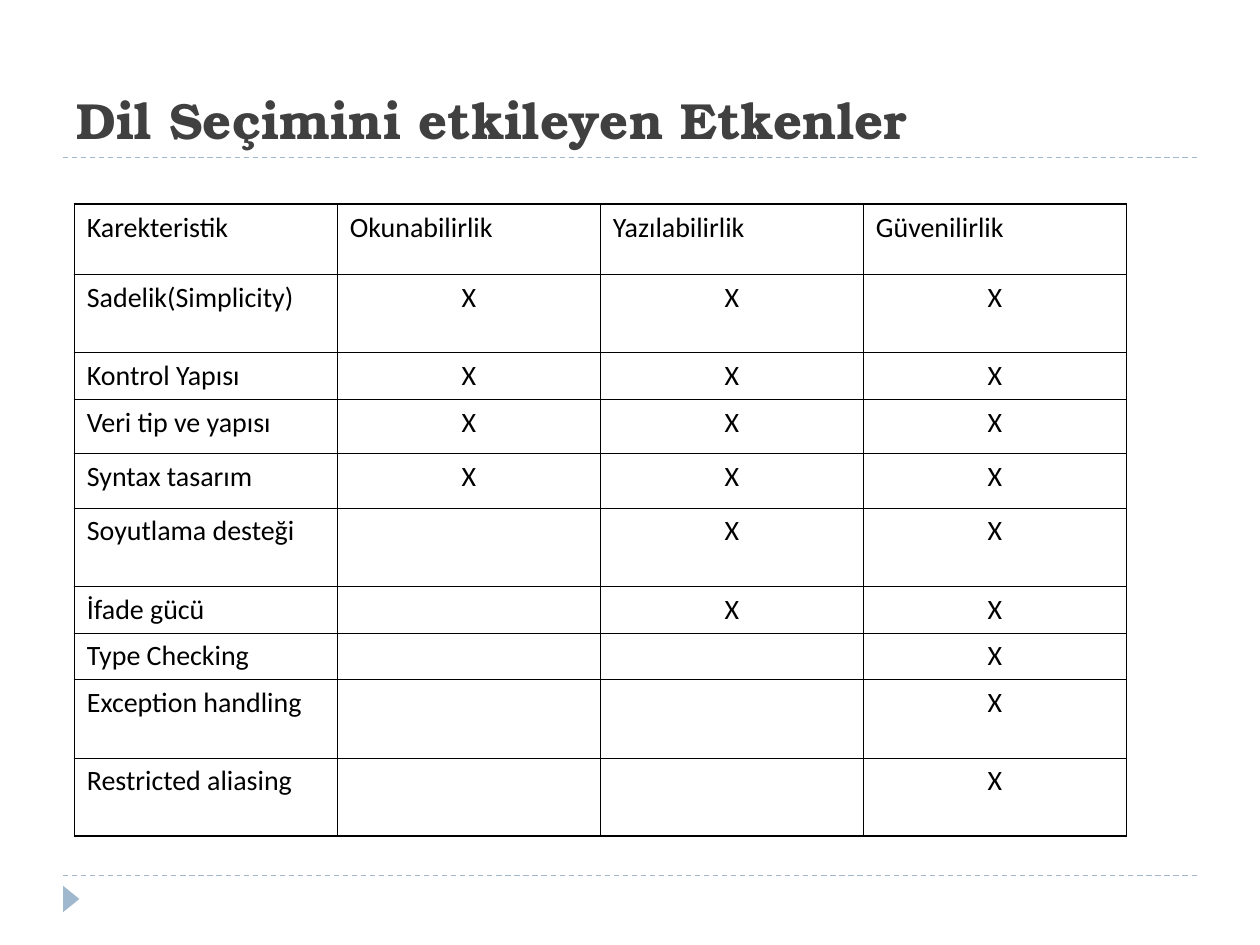
from pptx import Presentation
from pptx.dml.color import RGBColor
from pptx.enum.dml import MSO_LINE
from pptx.enum.shapes import MSO_CONNECTOR, MSO_SHAPE
from pptx.enum.text import MSO_ANCHOR, MSO_AUTO_SIZE, PP_ALIGN
from pptx.oxml.ns import qn
from pptx.util import Inches, Pt
from lxml import etree

DASH = MSO_LINE.DASH
STRAIGHT = MSO_CONNECTOR.STRAIGHT
TRIANGLE = MSO_SHAPE.ISOSCELES_TRIANGLE
BOTTOM = MSO_ANCHOR.BOTTOM
NO_FIT = MSO_AUTO_SIZE.NONE
LEFT, CENTER = PP_ALIGN.LEFT, PP_ALIGN.CENTER

# Content: characteristic, number of empty criteria before the marks, row height
TITLE = "Dil Seçimini etkileyen Etkenler"
HEADER = ["Karekteristik", "Okunabilirlik", "Yazılabilirlik", "Güvenilirlik"]
HEADER_HEIGHT = 0.56
CRITERIA = len(HEADER) - 1
CHARACTERISTICS = [
    ("Sadelik(Simplicity)", 0, 0.62),
    ("Kontrol Yapısı", 0, 0.36),
    ("Veri tip ve yapısı", 0, 0.43),
    ("Syntax tasarım", 0, 0.43),
    ("Soyutlama desteği", 1, 0.62),
    ("İfade gücü", 1, 0.36),
    ("Type Checking", 2, 0.36),
    ("Exception handling", 2, 0.62),
    ("Restricted aliasing", 2, 0.62),
]
THEME = {
    "title_font": "TeX Gyre Bonum", "title_size": Pt(29),
    "title_color": RGBColor.from_string("404040"),
    "body_font": "Calibri", "body_size": Pt(16),
    "body_color": RGBColor.from_string("000000"),
    "accent": RGBColor.from_string("9FB8CD"),
    "outer": Pt(1.08), "inner": Pt(0.45),
}


def set_font(font, role):
    font.name = THEME[role + "_font"]
    font.size = THEME[role + "_size"]
    font.color.rgb = THEME[role + "_color"]


def add_rule(slide, y):
    line = slide.shapes.add_connector(
        STRAIGHT, Inches(0.5), Inches(y), Inches(9.5), Inches(y))
    line.line.color.rgb = THEME["accent"]
    line.line.width = Pt(0.75)
    line.line.dash_style = DASH
    etree.SubElement(line._element.spPr, qn("a:effectLst"))


def set_borders(cell, outer_sides):
    tcPr = cell._tc.get_or_add_tcPr()
    for i, side in enumerate("LRTB"):
        width = THEME["outer" if side in outer_sides else "inner"]
        ln = etree.Element(qn("a:ln" + side), w=str(int(width)))
        fill = etree.SubElement(ln, qn("a:solidFill"))
        etree.SubElement(fill, qn("a:srgbClr"), val=str(THEME["body_color"]))
        tcPr.insert(i, ln)


def fill_cell(cell, text, align):
    cell.fill.background()
    p = cell.text_frame.paragraphs[0]
    p.alignment = align
    if text:
        p.text = text
        set_font(p.font, "body")
    else:
        # Keeps an empty cell from growing its row
        etree.SubElement(p._p, qn("a:endParaRPr"),
                         sz=str(int(THEME["body_size"].pt * 100)))


def add_matrix(slide):
    rows = [HEADER] + [[name] + [""] * empty + ["X"] * (CRITERIA - empty)
                       for name, empty, _ in CHARACTERISTICS]
    heights = [HEADER_HEIGHT] + [height for _, _, height in CHARACTERISTICS]
    last_row, last_col = len(rows) - 1, len(HEADER) - 1
    table = slide.shapes.add_table(
        len(rows), len(HEADER), Inches(0.59), Inches(1.62),
        Inches(8.35), Inches(sum(heights))).table
    table.first_row = table.horz_banding = False
    for r, (texts, height) in enumerate(zip(rows, heights)):
        table.rows[r].height = Inches(height)
        for c, text in enumerate(texts):
            cell = table.cell(r, c)
            fill_cell(cell, text, CENTER if r and c else LEFT)
            edges = {"L": c == 0, "R": c == last_col,
                     "T": r == 0, "B": r == last_row}
            set_borders(cell, [side for side, outer in edges.items() if outer])


def main():
    prs = Presentation()
    prs.slide_width, prs.slide_height = Inches(10), Inches(7.5)
    s = prs.slides.add_slide(prs.slide_layouts[5])

    # Dashed rules and corner marker
    for y in (6.95, 1.25):
        add_rule(s, y)
    marker = s.shapes.add_shape(
        TRIANGLE, Inches(0.46), Inches(7.07), Inches(0.21), Inches(0.13))
    marker.rotation = 90
    marker.shadow.inherit = False
    marker.fill.solid()
    marker.fill.fore_color.rgb = THEME["accent"]
    marker.line.fill.background()

    # Title
    title = s.shapes.title
    title.left, title.top = Inches(0.51), Inches(0.76)
    title.width, title.height = Inches(9), Inches(0.48)
    tf = title.text_frame
    tf.text = TITLE
    tf.vertical_anchor = BOTTOM
    tf.auto_size = NO_FIT
    p = tf.paragraphs[0]
    p.alignment = LEFT
    set_font(p.font, "title")
    p.font.bold = True

    # Characteristics against criteria
    add_matrix(s)
    prs.save("out.pptx")


if __name__ == "__main__":
    main()
